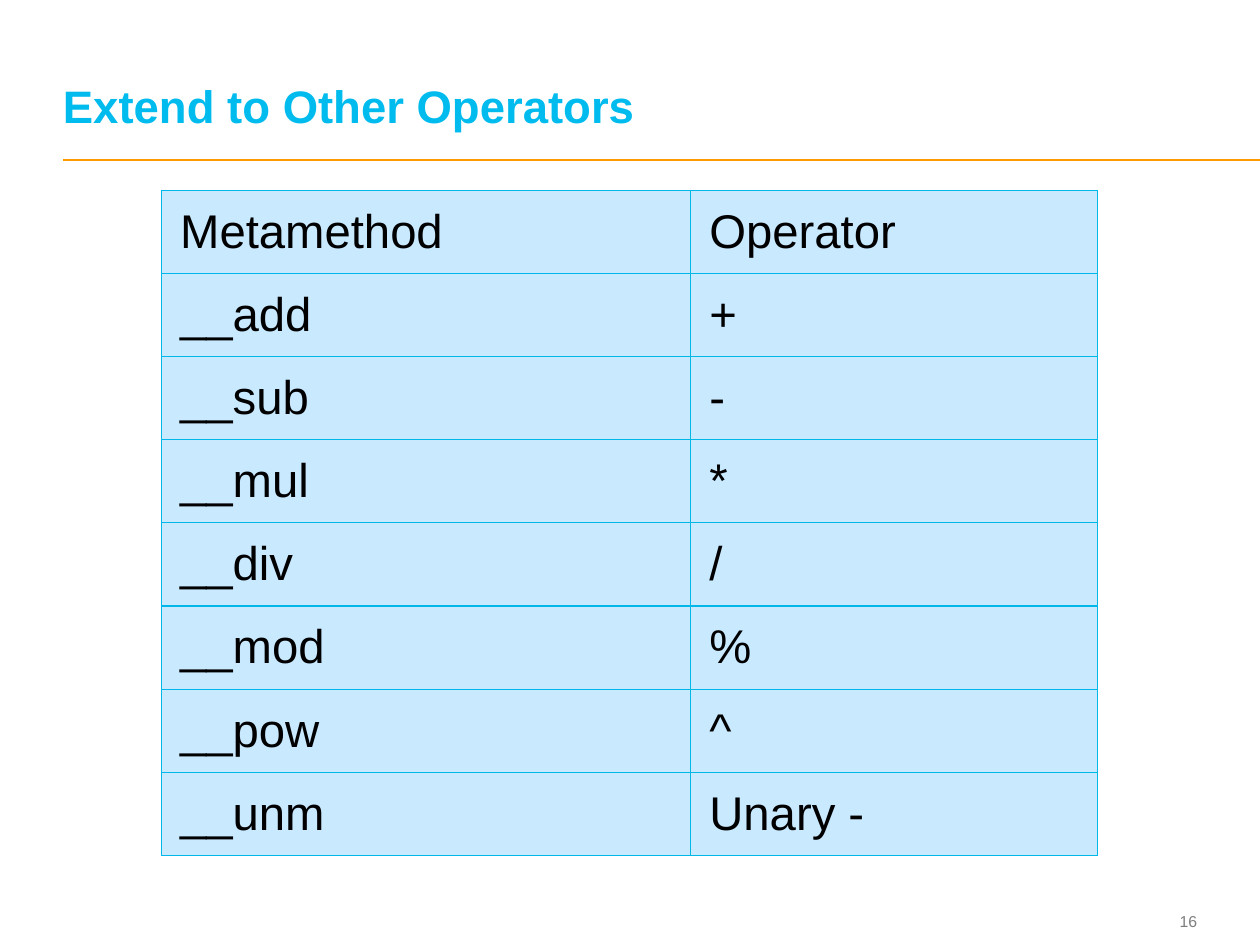
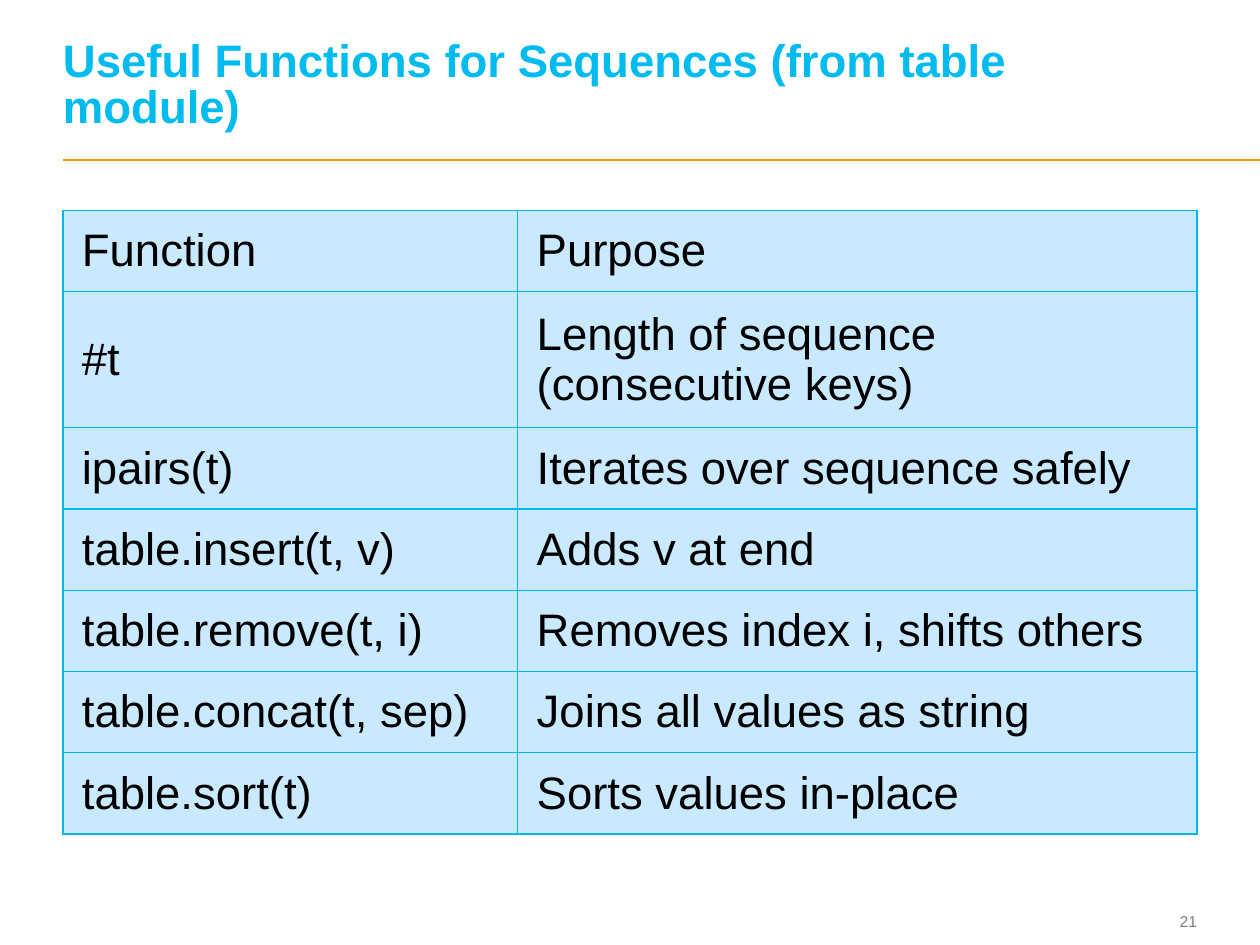
"""Build two slides that list Lua metamethods and sequence functions in tables."""
from lxml import etree
from pptx import Presentation
from pptx.dml.color import RGBColor
from pptx.enum.shapes import MSO_CONNECTOR
from pptx.enum.text import MSO_ANCHOR, PP_ALIGN
from pptx.oxml import parse_xml
from pptx.oxml.ns import qn
from pptx.util import Inches, Pt

STRAIGHT = MSO_CONNECTOR.STRAIGHT
MIDDLE, BOTTOM = MSO_ANCHOR.MIDDLE, MSO_ANCHOR.BOTTOM
LEFT, RIGHT = PP_ALIGN.LEFT, PP_ALIGN.RIGHT
NS = "http://schemas.openxmlformats.org/drawingml/2006/main"
FONT = "Arial"
CYAN, ORANGE, GRAY, BLACK = "00BBEE", "FF9900", "7F7F7F", "000000"
CELL_FILL, CELL_BORDER = "C9E9FF", "00B7E9"
MARGINS = {"margin_left": 0.15, "margin_right": 0.15,
           "margin_top": 0.07, "margin_bottom": 0.07}

SLIDES = [
    {"title": "Extend to Other Operators", "number": "16",
     "left": 1.28, "top": 1.51, "size": 27,
     "cols": [4.2, 3.23], "heights": [0.66] * 8,
     "rows": [("Metamethod", "Operator"), ("__add", "+"), ("__sub", "-"),
              ("__mul", "*"), ("__div", "/"), ("__mod", "%"),
              ("__pow", "^"), ("__unm", "Unary -")]},
    {"title": "Useful Functions for Sequences (from table module)",
     "number": "21", "left": 0.5, "top": 1.67, "size": 26,
     "cols": [3.61, 5.39], "heights": [0.645, 1.08] + [0.645] * 5,
     "rows": [("Function", "Purpose"),
              ("#t", "Length of sequence (consecutive keys)"),
              ("ipairs(t)", "Iterates over sequence safely"),
              ("table.insert(t, v)", "Adds v at end"),
              ("table.remove(t, i)", "Removes index i, shifts others"),
              ("table.concat(t, sep)", "Joins all values as string"),
              ("table.sort(t)", "Sorts values in-place")]},
]


def rgb(value):
    return RGBColor.from_string(value)


def write(p, text, size, color, bold=False, align=LEFT):
    p.alignment = align
    r = p.add_run()
    r.text = text
    r.font.color.rgb = rgb(color)
    for name, value in {"name": FONT, "size": Pt(size), "bold": bold}.items():
        setattr(r.font, name, value)


prs = Presentation()
prs.slide_width, prs.slide_height = Inches(10), Inches(7.5)

for data in SLIDES:
    s = prs.slides.add_slide(prs.slide_layouts[6])

    line = s.shapes.add_connector(
        STRAIGHT, Inches(0.5), Inches(1.27), Inches(10), Inches(1.27))
    line.line.color.rgb = rgb(ORANGE)
    line.line.width = Pt(1)
    etree.SubElement(line._element.spPr, qn("a:effectLst"))

    for text, box, anchor, style in (
        (data["number"], (8.91, 7.18, 0.59, 0.27), MIDDLE,
         {"size": 9, "color": GRAY, "align": RIGHT}),
        (data["title"], (0.5, 0.19, 8.9, 0.86), BOTTOM,
         {"size": 26, "color": CYAN, "bold": True}),
    ):
        tf = s.shapes.add_textbox(*map(Inches, box)).text_frame
        tf.word_wrap = True
        tf.vertical_anchor = anchor
        for name in MARGINS:
            setattr(tf, name, 0)
        write(tf.paragraphs[0], text, **style)
    tf.paragraphs[0].line_spacing = Pt(26)

    table = s.shapes.add_table(
        len(data["rows"]), len(data["cols"]),
        Inches(data["left"]), Inches(data["top"]),
        Inches(sum(data["cols"])), Inches(sum(data["heights"]))).table
    for col, width in zip(table.columns, data["cols"]):
        col.width = Inches(width)
    for row, height, texts in zip(table.rows, data["heights"], data["rows"]):
        row.height = Inches(height)
        for cell, text in zip(row.cells, texts):
            cell.vertical_anchor = MIDDLE
            for name, value in MARGINS.items():
                setattr(cell, name, Inches(value))
            write(cell.text_frame.paragraphs[0], text, data["size"], BLACK)
            tcPr = cell._tc.get_or_add_tcPr()
            for side in ("lnL", "lnR", "lnT", "lnB"):
                tcPr.append(parse_xml(
                    f'<a:{side} xmlns:a="{NS}" w="{Pt(0.75)}"><a:solidFill>'
                    f'<a:srgbClr val="{CELL_BORDER}"/></a:solidFill></a:{side}>'))
            cell.fill.solid()
            cell.fill.fore_color.rgb = rgb(CELL_FILL)

prs.save("out.pptx")
